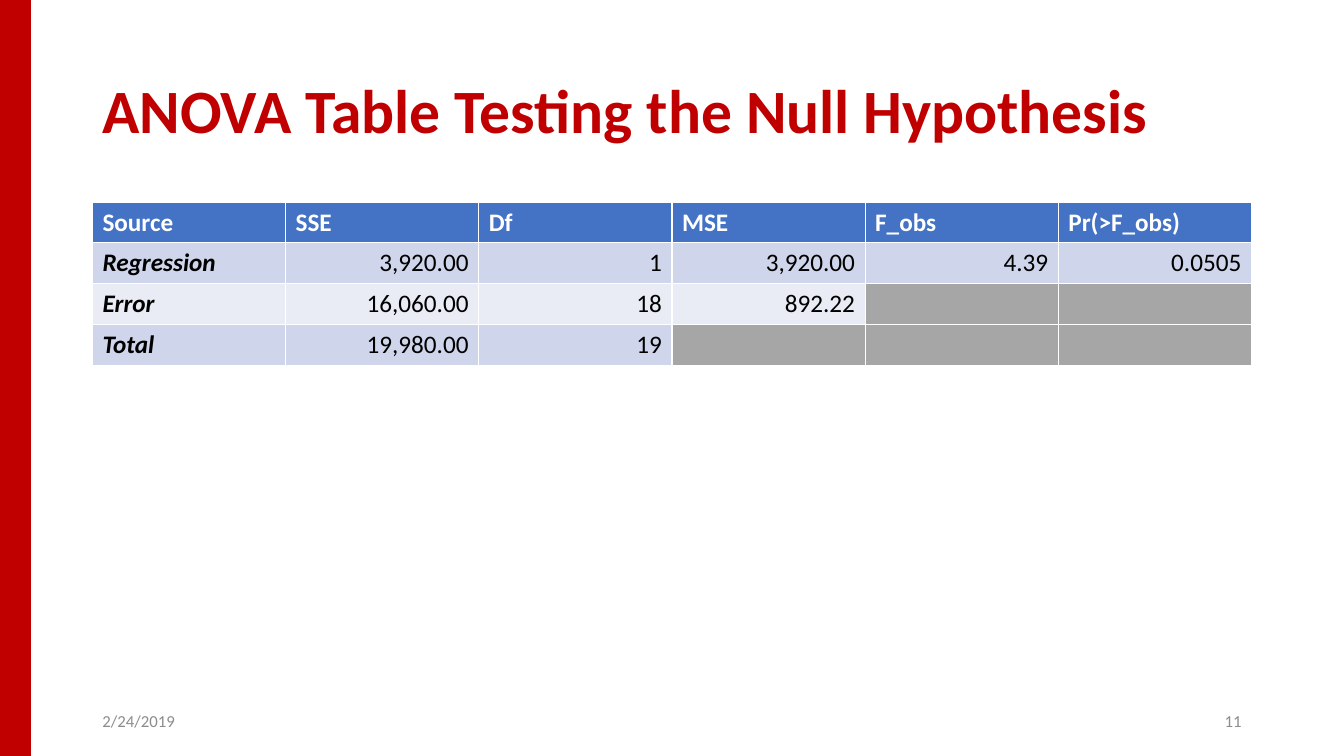
from pptx import Presentation
from pptx.dml.color import RGBColor
from pptx.enum import shapes, text
from pptx.util import Cm, Pt

COLORS = {
    "red": "C00000",
    "header": "4472C4",
    "odd_row": "CFD5EA",
    "even_row": "E9EBF5",
    "unused": "A6A6A6",
    "white": "FFFFFF",
    "black": "000000",
    "footer": "8C8C8C",
}
FONT = "Calibri"
ANOVA = [
    ["Source", "SSE", "Df", "MSE", "F_obs", "Pr(>F_obs)"],
    ["Regression", "3,920.00", "1", "3,920.00", "4.39", "0.0505"],
    ["Error", "16,060.00", "18", "892.22", None, None],
    ["Total", "19,980.00", "19", None, None, None],
]


def color(name):
    return RGBColor.from_string(COLORS[name])


def write(paragraph, words, size, ink, bold=False, italic=False,
          align=text.PP_ALIGN.LEFT):
    paragraph.alignment = align
    run = paragraph.add_run()
    run.text = words
    run.font.name = FONT
    run.font.size = Pt(size)
    run.font.color.rgb = color(ink)
    run.font.bold = bold
    run.font.italic = italic


def add_side_band(slide, left, top, width, height):
    band = slide.shapes.add_shape(
        shapes.MSO_SHAPE.RECTANGLE, left, top, width, height)
    band.shadow.inherit = False
    band.fill.solid()
    band.fill.fore_color.rgb = color("red")
    band.line.color.rgb = color("red")
    band.line.width = Pt(1)


def add_heading(slide, left, top, width, height):
    heading = slide.shapes.title
    heading.left, heading.top = left, top
    heading.width, heading.height = width, height
    frame = heading.text_frame
    frame.word_wrap = True
    frame.vertical_anchor = text.MSO_ANCHOR.MIDDLE
    frame.paragraphs[0].line_spacing = 0.9
    write(frame.paragraphs[0], "ANOVA Table Testing the Null Hypothesis",
          44, "red", bold=True)


def add_anova_table(slide, left, top, width, height):
    anova = slide.shapes.add_table(
        len(ANOVA), len(ANOVA[0]), left, top, width, height).table
    for r, values in enumerate(ANOVA):
        row_fill = "header" if r == 0 else ("odd_row" if r % 2 else "even_row")
        for c, value in enumerate(values):
            cell = anova.cell(r, c)
            cell.fill.solid()
            cell.fill.fore_color.rgb = color("unused" if value is None else row_fill)
            if value is None:
                continue
            is_label = r == 0 or c == 0
            write(cell.text_frame.paragraphs[0], value, 18,
                  "white" if r == 0 else "black",
                  bold=is_label, italic=r > 0 and c == 0,
                  align=text.PP_ALIGN.LEFT if is_label else text.PP_ALIGN.RIGHT)


def add_footer(slide, left, top, width, height):
    part_width = Cm(7.62)
    parts = [
        ("2/24/2019", left, text.PP_ALIGN.LEFT),
        ("11", left + width - part_width, text.PP_ALIGN.RIGHT),
    ]
    for words, part_left, align in parts:
        frame = slide.shapes.add_textbox(
            part_left, top, part_width, height).text_frame
        frame.word_wrap = True
        frame.vertical_anchor = text.MSO_ANCHOR.MIDDLE
        write(frame.paragraphs[0], words, 12, "footer", align=align)


def main():
    deck = Presentation()
    deck.slide_width, deck.slide_height = Cm(33.87), Cm(19.05)
    slide = deck.slides.add_slide(deck.slide_layouts[5])
    margin, content_width = Cm(2.33), Cm(29.21)
    add_side_band(slide, 0, 0, Cm(0.77), deck.slide_height)
    add_heading(slide, margin, Cm(1.01), content_width, Cm(3.68))
    add_anova_table(slide, margin, Cm(5.09), content_width, Cm(4.12))
    add_footer(slide, margin, Cm(17.66), content_width, Cm(1.01))
    deck.save("out.pptx")


if __name__ == "__main__":
    main()
